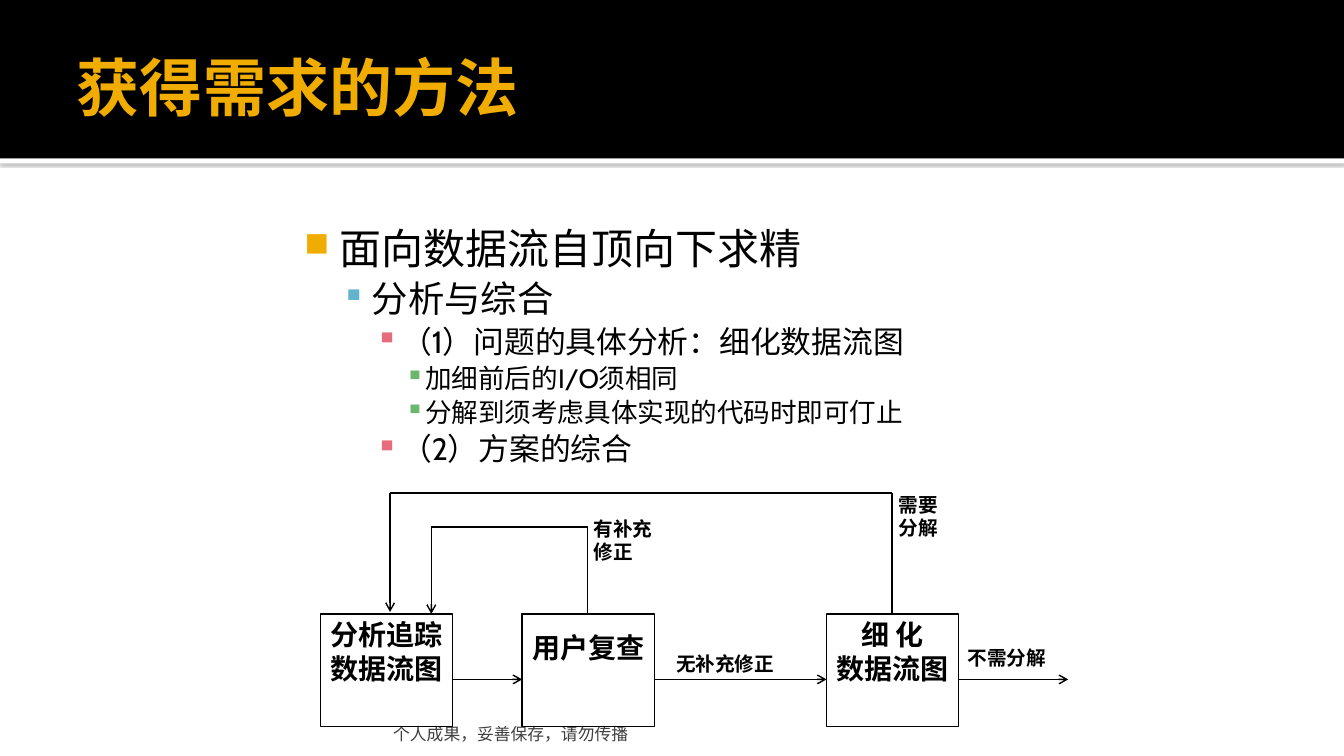
"""Build the slide on ways of gathering requirements."""
from dataclasses import dataclass

import pptx
import pptx.dml.color
import pptx.enum.shapes
import pptx.enum.text
import pptx.oxml
import pptx.util

Cm = pptx.util.Cm
Pt = pptx.util.Pt
Align = pptx.enum.text.PP_ALIGN
Anchor = pptx.enum.text.MSO_ANCHOR
NS = 'xmlns:a="http://schemas.openxmlformats.org/drawingml/2006/main"'
WIDE, HEAD = 33.87, 3.99
ROW, SIDE, TALL, FLOW = 15.47, 3.33, 2.84, 17.12
SERIF, SANS, CJK = "Times New Roman", "Cabin", "Noto Sans CJK SC"


@dataclass
class Level:
    size: int
    left: float
    hang: float
    mark: str
    scale: int
    color: str


@dataclass
class Point:
    text: str
    level: int


@dataclass
class Step:
    text: str
    x: float
    top: float = 0.1
    font: str = SERIF


@dataclass
class Label:
    text: str
    x: float
    y: float
    w: float
    h: float


@dataclass
class Loop:
    start: float
    end: float
    top: float
    tip: float


LEVELS = [
    Level(30, 1.22, 0.89, "■", 80, "F0AD00"),
    Level(26, 2.03, 0.76, "▪", 90, "60B5CC"),
    Level(22, 2.77, 0.64, "▪", 100, "E66C7D"),
    Level(19, 3.38, 0.51, "▪", 100, "6BB76D"),
]
POINTS = [
    Point("面向数据流自顶向下求精", 0),
    Point("分析与综合", 1),
    Point("（1）问题的具体分析：细化数据流图", 2),
    Point("加细前后的I/O须相同", 3),
    Point("分解到须考虑具体实现的代码时即可仃止", 3),
    Point("（2）方案的综合", 2),
]
STEPS = [
    Step("分析追踪\n数据流图", 8.08),
    Step("用户复查", 13.16, top=0.41),
    Step("细 化\n数据流图", 20.83, font=CJK),
]
LABELS = [
    Label("不需分解", 24.13, 16.15, 3.33, 1.19),
    Label("有补充\n修正", 14.71, 12.9, 2.77, 2.39),
    Label("无补充修正", 16.79, 16.31, 4.22, 1.19),
    Label("需要\n分解", 22.4, 12.29, 2.21, 2.41),
]
LOOPS = [Loop(14.81, 10.87, 13.28, ROW), Loop(22.48, 9.83, 12.42, 15.42)]


def paint(value: str) -> pptx.dml.color.RGBColor:
    """Turn a hex string into a colour."""
    return pptx.dml.color.RGBColor.from_string(value)


def node(xml: str):
    """Parse a drawing element whose opening tag ends in a hash mark."""
    return pptx.oxml.parse_xml(xml.replace("#", " " + NS, 1))


def write(frame, text: str, *, size: float, font: str = SERIF, color: str = "000000",
          bold: bool = False, align=Align.LEFT, line: float = 1, before: float = 0,
          more: bool = False) -> list:
    """Write one paragraph per line of text and return the paragraphs."""
    frame.word_wrap = True
    made = []
    for row in text.split("\n"):
        para = frame.add_paragraph() if more or made else frame.paragraphs[0]
        para.alignment, para.line_spacing = align, line
        para.space_before = Pt(before)
        run = para.add_run()
        run.text = row
        run.font.name, run.font.size, run.font.bold = font, Pt(size), bold
        run.font.color.rgb = paint(color)
        made.append(para)
    return made


def inset(frame, left: float, top: float, right: float, bottom: float) -> None:
    """Set the margins of a text frame."""
    frame.margin_left, frame.margin_top = Cm(left), Cm(top)
    frame.margin_right, frame.margin_bottom = Cm(right), Cm(bottom)


def box(slide, x: float, y: float, w: float, h: float, fill: str = "", edge: str = ""):
    """Draw a rectangle without a shadow."""
    kind = pptx.enum.shapes.MSO_SHAPE.RECTANGLE
    shape = slide.shapes.add_shape(kind, Cm(x), Cm(y), Cm(w), Cm(h))
    shape.shadow.inherit = False
    for part, tint in ((shape.fill, fill), (shape.line.fill, edge)):
        if tint:
            part.solid()
            part.fore_color.rgb = paint(tint)
        else:
            part.background()
    if edge:
        shape.line.width = Pt(1)
    return shape


def area(slide, x: float, y: float, w: float, h: float):
    """Add a text box and return its frame."""
    return slide.shapes.add_textbox(Cm(x), Cm(y), Cm(w), Cm(h)).text_frame


def link(slide, x: float, y: float, to_x: float, to_y: float, arrow: bool = False) -> None:
    """Draw a straight line, with an arrowhead at its end if asked."""
    kind = pptx.enum.shapes.MSO_CONNECTOR.STRAIGHT
    line = slide.shapes.add_connector(kind, Cm(x), Cm(y), Cm(to_x), Cm(to_y))
    line.line.color.rgb, line.line.width = paint("000000"), Pt(1)
    if arrow:
        line.line._get_or_add_ln().append(node('<a:tailEnd# type="arrow"/>'))
    line._element.spPr.append(node("<a:effectLst#/>"))


def banner(slide) -> None:
    """Draw the header band and place the title on it."""
    strip = box(slide, 0, HEAD, WIDE, 0.13, fill="FFFFFF")
    strip._element.spPr.effectLst.append(node(
        '<a:outerShdw# blurRad="31750" dist="10160" dir="5400000">'
        '<a:srgbClr val="808080"><a:alpha val="60000"/></a:srgbClr></a:outerShdw>'))
    box(slide, 0, 0, WIDE, HEAD, fill="000000")
    title = slide.shapes.title
    slide.shapes.element.append(title._element)
    title.left, title.top, title.width, title.height = Cm(1.69), Cm(0.43), Cm(30.48), Cm(3.48)
    frame = title.text_frame
    frame.auto_size = pptx.enum.text.MSO_AUTO_SIZE.NONE
    frame.vertical_anchor = Anchor.MIDDLE
    inset(frame, 0.25, 0.13, 0.13, 0.13)
    write(frame, "获得需求的方法", size=45, font=SANS, color="F0AD00", bold=True)


def outline(slide) -> None:
    """Write the bulleted points."""
    frame = area(slide, 7.19, 5.51, 21.54, 7.01)
    inset(frame, 0.15, 0.25, 0.25, 0.13)
    for rank, point in enumerate(POINTS):
        look = LEVELS[point.level]
        para, = write(frame, point.text, size=look.size, font=SANS, line=0.9,
                      before=0.2 * look.size if rank else 0, more=rank > 0)
        para.level = point.level
        props = para._p.get_or_add_pPr()
        props.set("marL", str(Cm(look.left)))
        props.set("indent", str(-Cm(look.hang)))
        props.append(node(f'<a:buClr#><a:srgbClr val="{look.color}"/></a:buClr>'))
        props.append(node(f'<a:buSzPct# val="{look.scale * 1000}"/>'))
        props.append(node(f'<a:buChar# char="{look.mark}"/>'))


def chart(slide) -> None:
    """Draw the flow of steps with its loops and labels."""
    for label in LABELS:
        frame = area(slide, label.x, label.y, label.w, label.h)
        write(frame, label.text, size=14, bold=True, align=Align.JUSTIFY)
    for step in STEPS:
        frame = box(slide, step.x, ROW, SIDE, TALL, edge="000000").text_frame
        frame.vertical_anchor = Anchor.TOP
        inset(frame, 0.1, step.top, 0.1, 0.1)
        write(frame, step.text, size=20, font=step.font, bold=True, align=Align.CENTER)
    ends = [step.x for step in STEPS[1:]] + [26.92]
    for step, end in zip(STEPS, ends):
        link(slide, step.x + SIDE, FLOW, end, FLOW, arrow=True)
    for loop in LOOPS:
        link(slide, loop.start, ROW, loop.start, loop.top)
        link(slide, loop.start, loop.top, loop.end, loop.top)
        link(slide, loop.end, loop.top, loop.end, loop.tip, arrow=True)


def main() -> None:
    """Build and save the slide."""
    deck = pptx.Presentation()
    deck.slide_width, deck.slide_height = Cm(WIDE), Cm(19.05)
    slide = deck.slides.add_slide(deck.slide_layouts[5])
    banner(slide)
    outline(slide)
    foot = area(slide, 9.78, 17.98, 20.4, 0.76)
    foot.vertical_anchor = Anchor.BOTTOM
    inset(foot, 0.13, 0.13, 0.13, 0)
    write(foot, "个人成果，妥善保存，请勿传播", size=12, font=SANS, color="3F3F3F", line=0.8)
    chart(slide)
    deck.save("out.pptx")


if __name__ == "__main__":
    main()
